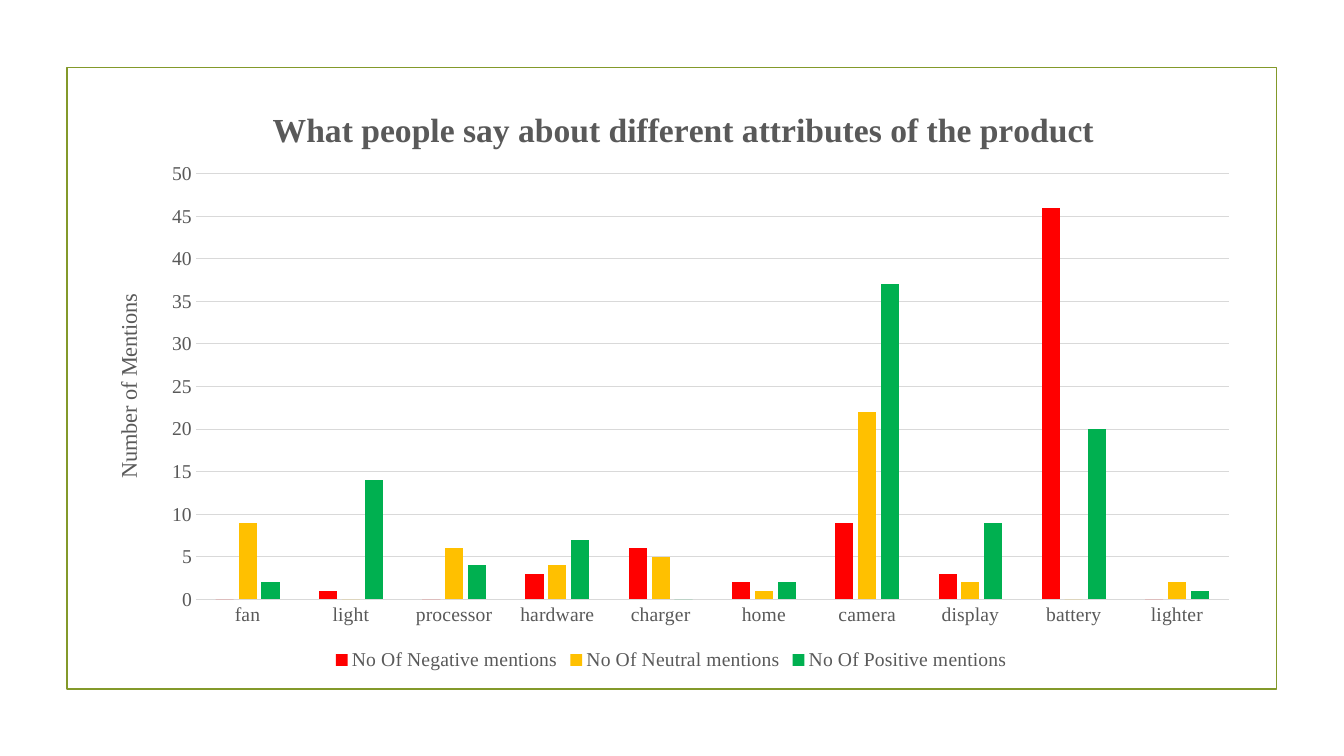
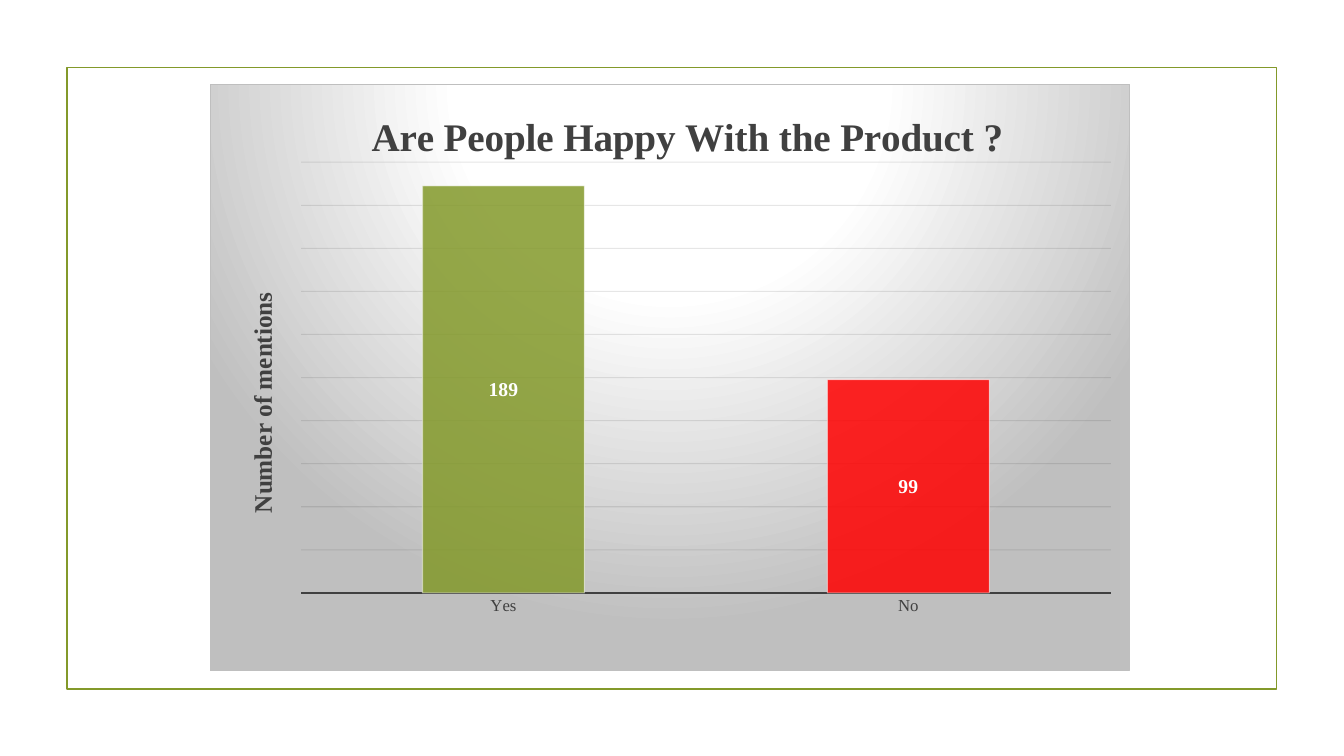
"""Build two framed chart slides about product mentions."""
from dataclasses import dataclass

from lxml import etree
from pptx import Presentation
from pptx import util as u
from pptx.chart.axis import CategoryAxis, ValueAxis
from pptx.chart.chart import Chart
from pptx.chart.data import CategoryChartData
from pptx.dml.color import RGBColor
from pptx.dml.fill import FillFormat
from pptx.dml.line import LineFormat
from pptx.enum import chart as charts, shapes
from pptx.oxml import parse_xml
from pptx.oxml.ns import nsdecls, qn
from pptx.slide import Slide
from pptx.text.text import Font, TextFrame

FONT = "Times New Roman"
GREEN, RED, WHITE = "83992A", "FF0000", "FFFFFF"
DARK, GRAY, PALE = "404040", "595959", "D9D9D9"


@dataclass(frozen=True)
class Heading:
    """Describe a chart or axis title and its place as chart fractions."""
    words: str
    size: int
    bold: bool
    left: float
    top: float


@dataclass(frozen=True)
class Series:
    """Describe one data series."""
    name: str
    values: tuple[int, ...]
    color: str


@dataclass(frozen=True)
class ColumnChart:
    """Describe a column chart, with its box in centimetres."""
    kind: charts.XL_CHART_TYPE
    box: tuple[float, float, float, float]
    plot_box: tuple[float, float, float, float]
    title: Heading
    axis_title: Heading
    categories: tuple[str, ...]
    series: tuple[Series, ...]
    text_color: str
    label_size: int
    axis_line: tuple[str, float]
    grid_color: str
    maximum: int
    step: int
    gap: int
    overlap: int


ATTRIBUTES = ColumnChart(
    kind=charts.XL_CHART_TYPE.COLUMN_CLUSTERED,
    box=(2.31, 1.9, 29.21, 15.11),
    plot_box=(0.09, 0.164, 0.891, 0.71),
    title=Heading("What people say about different attributes of the product",
                  24, True, 0.151, 0.044),
    axis_title=Heading("Number of Mentions", 16, False, 0.016, 0.357),
    categories=("fan", "light", "processor", "hardware", "charger",
                "home", "camera", "display", "battery", "lighter"),
    series=(
        Series("No Of Negative mentions", (0, 1, 0, 3, 6, 2, 9, 3, 46, 0), RED),
        Series("No Of Neutral mentions", (9, 0, 6, 4, 5, 1, 22, 2, 0, 2), "FFC000"),
        Series("No Of Positive mentions", (2, 14, 4, 7, 0, 2, 37, 9, 20, 1), "00B050"),
    ),
    text_color=GRAY, label_size=14, axis_line=(PALE, 0.75), grid_color=PALE,
    maximum=50, step=5, gap=219, overlap=-27,
)
HAPPINESS = ColumnChart(
    kind=charts.XL_CHART_TYPE.COLUMN_STACKED,
    box=(5.28, 2.11, 23.19, 14.81),
    plot_box=(0.099, 0.133, 0.881, 0.734),
    title=Heading("Are People Happy With the Product ?", 28, True, 0.168, 0.036),
    axis_title=Heading("Number of mentions", 18, True, 0.035, 0.347),
    categories=("Yes", "No"),
    series=(Series("Series 1", (189, 99), GREEN),),
    text_color=DARK, label_size=12, axis_line=(DARK, 1.5), grid_color="0D0D0D",
    maximum=200, step=20, gap=150, overlap=100,
)


def rgb(color: str) -> RGBColor:
    """Turn a hex string into a colour."""
    return RGBColor.from_string(color)


def paint(fill: FillFormat, color: str) -> None:
    """Fill with one solid colour."""
    fill.solid()
    fill.fore_color.rgb = rgb(color)


def stroke(line: LineFormat, color: str, width: float) -> None:
    """Set the colour and width of a line."""
    paint(line.fill, color)
    line.width = u.Pt(width)


def style_font(font: Font, size: int, color: str, bold: bool = False) -> None:
    """Apply the shared typeface with a size, colour and weight."""
    font.name, font.size, font.bold = FONT, u.Pt(size), bold
    font.color.rgb = rgb(color)


def fade(chart: Chart, query: str, percent: int) -> None:
    """Set the opacity of the colours that an XPath query selects."""
    for color in chart.element.xpath(query):
        etree.SubElement(color, qn("a:alpha"), val=str(percent * 1000))


def place(parent: etree._Element, index: int, **fractions: float | str) -> None:
    """Give a chart part a manual layout."""
    for layout in parent.findall(qn("c:layout")):
        parent.remove(layout)
    layout = parse_xml(f"<c:layout {nsdecls('c')}><c:manualLayout/></c:layout>")
    for tag, value in fractions.items():
        etree.SubElement(layout[0], qn(f"c:{tag}"), val=str(value))
    parent.insert(index, layout)


def write_heading(frame: TextFrame, heading: Heading, color: str,
                  title: etree._Element) -> None:
    """Write, format and place a title."""
    frame.text = heading.words
    for run in frame.paragraphs[0].runs:
        style_font(run.font, heading.size, color, heading.bold)
    place(title, 1, xMode="edge", yMode="edge", x=heading.left, y=heading.top)


def style_axes(category: CategoryAxis, value: ValueAxis, design: ColumnChart) -> None:
    """Format both axes and the gridlines."""
    for axis in (category, value):
        axis.major_tick_mark = axis.minor_tick_mark = charts.XL_TICK_MARK.NONE
        style_font(axis.tick_labels.font, design.label_size, design.text_color)
    stroke(category.format.line, *design.axis_line)
    value.format.line.fill.background()
    value.minimum_scale, value.maximum_scale = 0, design.maximum
    value.major_unit = design.step
    value.has_major_gridlines = True
    stroke(value.major_gridlines.format.line, design.grid_color, 0.75)


def add_chart(slide: Slide, design: ColumnChart) -> Chart:
    """Add a column chart in the shared style."""
    data = CategoryChartData()
    data.categories = design.categories
    for series in design.series:
        data.add_series(series.name, series.values)
    box = [u.Cm(length) for length in design.box]
    chart = slide.shapes.add_chart(design.kind, *box, data).chart
    style_font(chart.font, 10, "000000")
    chart.has_legend = False
    chart.has_title = True
    style_axes(chart.category_axis, chart.value_axis, design)
    chart.value_axis.has_title = True
    write_heading(chart.chart_title.text_frame, design.title, design.text_color,
                  chart.element.xpath("c:chart/c:title")[0])
    write_heading(chart.value_axis.axis_title.text_frame, design.axis_title,
                  design.text_color, chart.element.xpath(".//c:valAx/c:title")[0])
    left, top, width, height = design.plot_box
    place(chart.element.xpath("c:chart/c:plotArea")[0], 0, layoutTarget="inner",
          xMode="edge", yMode="edge", x=left, y=top, w=width, h=height)
    plot = chart.plots[0]
    plot.vary_by_categories = False
    plot.gap_width, plot.overlap = design.gap, design.overlap
    for series, column in zip(design.series, plot.series):
        column.invert_if_negative = False
        paint(column.format.fill, series.color)
    return chart


def add_framed_slide(presentation: Presentation) -> Slide:
    """Add a blank slide with the shared green frame."""
    slide = presentation.slides.add_slide(presentation.slide_layouts[6])
    frame = slide.shapes.add_shape(shapes.MSO_SHAPE.RECTANGLE, u.Cm(1.69), u.Cm(1.7),
                                   u.Cm(30.48), u.Cm(15.67))
    frame.shadow.inherit = False
    frame.fill.background()
    stroke(frame.line, GREEN, 1.25)
    return slide


def add_backdrop(chart: Chart) -> None:
    """Put a round white to gray gradient behind a chart."""
    stops = "".join(f'<a:gs pos="{position * 1000}"><a:srgbClr val="{color}"/></a:gs>'
                    for position, color in ((0, WHITE), (39, WHITE), (100, "BFBFBF")))
    chart.element.find(qn("c:chart")).addnext(parse_xml(
        f'<c:spPr {nsdecls("c", "a")}><a:gradFill><a:gsLst>{stops}</a:gsLst>'
        '<a:path path="circle">'
        '<a:fillToRect l="50000" t="-80000" r="50000" b="180000"/></a:path></a:gradFill>'
        '<a:ln w="9525"><a:solidFill><a:srgbClr val="BFBFBF"/></a:solidFill></a:ln>'
        '</c:spPr>'))


def build_attributes(presentation: Presentation) -> None:
    """Build the slide on product attributes."""
    chart = add_chart(add_framed_slide(presentation), ATTRIBUTES)
    chart.has_legend = True
    chart.legend.position = charts.XL_LEGEND_POSITION.BOTTOM
    chart.legend.include_in_layout = False
    style_font(chart.legend.font, 14, GRAY)


def build_happiness(presentation: Presentation) -> None:
    """Build the slide on overall happiness."""
    chart = add_chart(add_framed_slide(presentation), HAPPINESS)
    chart.value_axis.visible = False
    series = chart.plots[0].series[0]
    unhappy = series.points[1]
    paint(unhappy.format.fill, RED)
    for part in (series, unhappy):
        stroke(part.format.line, WHITE, 0.75)
    labels = series.data_labels
    labels.show_value = True
    labels.position = charts.XL_LABEL_POSITION.CENTER
    style_font(labels.font, 14, WHITE, True)
    fade(chart, ".//c:ser//c:spPr/a:solidFill/a:srgbClr", 85)
    fade(chart, ".//c:ser//c:spPr/a:ln/a:solidFill/a:srgbClr", 50)
    fade(chart, ".//c:majorGridlines//a:srgbClr", 10)
    add_backdrop(chart)


def main() -> None:
    """Build and save the presentation."""
    presentation = Presentation()
    presentation.slide_width, presentation.slide_height = u.Cm(33.87), u.Cm(19.05)
    build_attributes(presentation)
    build_happiness(presentation)
    presentation.save("out.pptx")


if __name__ == "__main__":
    main()
